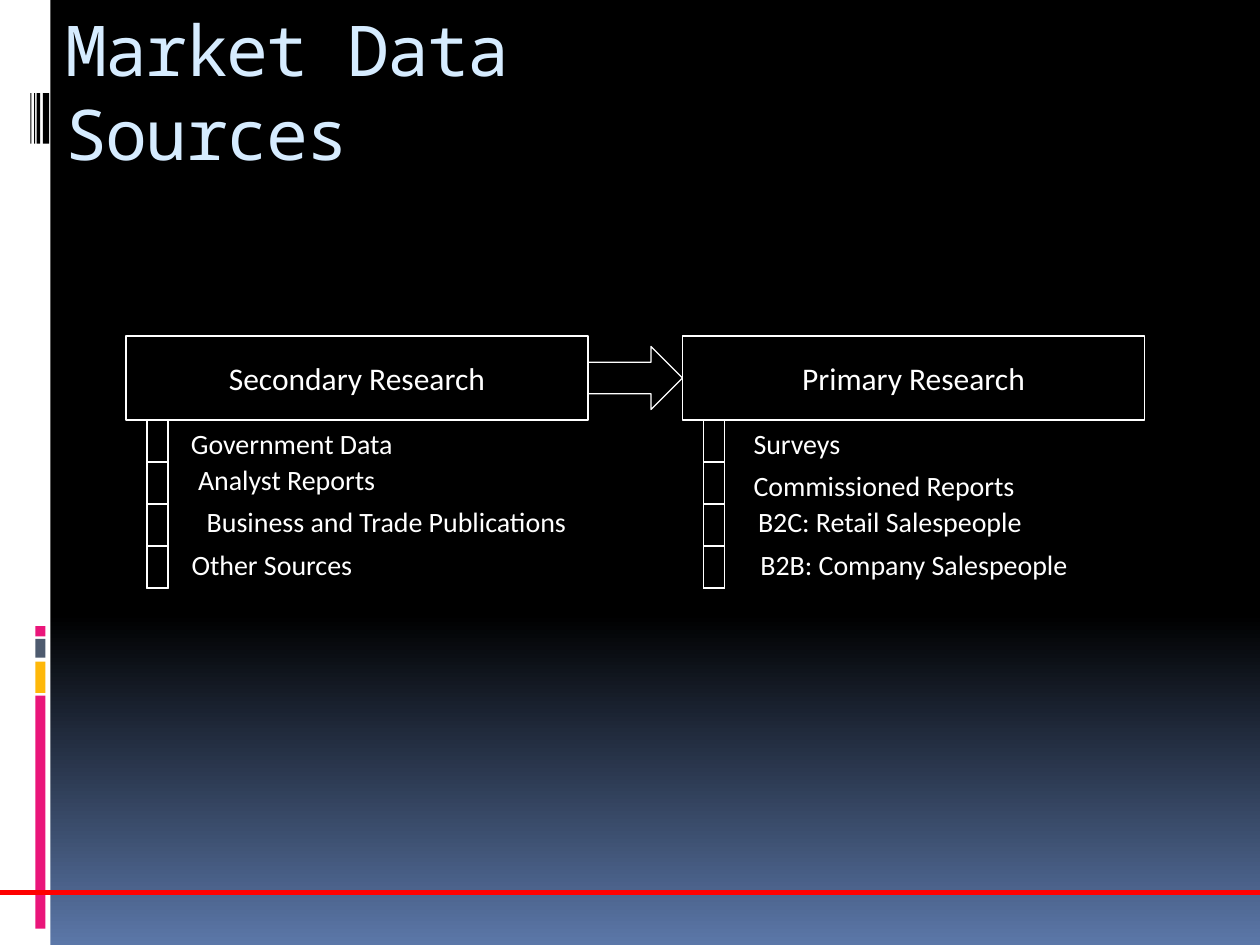
from lxml import etree
from pptx import Presentation, util as u
from pptx.dml.color import RGBColor
from pptx.enum import shapes, text
from pptx.oxml import ns

BLACK = RGBColor(0x00, 0x00, 0x00)
WHITE = RGBColor(0xFF, 0xFF, 0xFF)
DUSK = RGBColor(0x5B, 0x77, 0xA8)
ICE = RGBColor(0xD6, 0xEC, 0xFF)
PINK = RGBColor(0xEA, 0x15, 0x7A)
AMBER = RGBColor(0xFE, 0xB8, 0x0A)
SLATE = RGBColor(0x4E, 0x5B, 0x6F)
RED = RGBColor(0xFF, 0x00, 0x00)

COLUMNS, ROWS = 120, 90
BAR_TOP, BAR_WIDTH, BAR_HEIGHT = 32, 44, 8
SPINE_TOP, SPINE_INDENT, SPINE_WIDTH, CELL = 40, 2, 2, 4
SPINE_SPANS = [(0, 4), (2, 2), (3, 1), (0, 1)]
LABEL_HEIGHT = 4.4

BARCODE = [(4.08, 0.6), (3.48, 0.36), (3.24, 0.12), (2.88, 0.12)]
ACCENTS = [(66.24, 22.2, PINK), (63, 3, AMBER), (60.84, 1.8, SLATE), (59.64, 0.96, PINK)]

BRANCHES = [
    (12, "Secondary Research", 27.7, [
        ("Government Data", 16.6, 40, 22.4),
        ("Analyst Reports", 17.3, 43.5, 20),
        ("Business and Trade Publications", 17.9, 47.5, 37.8),
        ("Other Sources", 16.7, 51.6, 18.4),
    ]),
    (65, "Primary Research", 24.4, [
        ("Surveys", 70.3, 40, 11.2),
        ("Commissioned Reports", 70.1, 44, 28.2),
        ("B2C: Retail Salespeople", 70.4, 47.5, 28.7),
        ("B2B: Company Salespeople", 70.6, 51.6, 32.9),
    ]),
]


def write(frame, words, font="Calibri", size=16, color=WHITE,
          align=text.PP_ALIGN.CENTER, wrap=False, spacing=None,
          fit=text.MSO_AUTO_SIZE.SHAPE_TO_FIT_TEXT):
    frame.word_wrap = wrap
    frame.auto_size = fit
    frame.vertical_anchor = text.MSO_ANCHOR.TOP
    paragraph = frame.paragraphs[0]
    paragraph.alignment = align
    run = paragraph.add_run()
    run.text = words
    run.font.name, run.font.size = font, u.Pt(size)
    run.font.color.rgb = color
    if spacing is not None:
        run.font._element.set("spc", str(spacing * 100))


class Board:
    def __init__(self, deck):
        self.slide = deck.slides.add_slide(deck.slide_layouts[5])
        self.column = deck.slide_width / COLUMNS
        self.row = deck.slide_height / ROWS

    def place(self, left, top, width, height):
        return [round(n * unit) for n, unit in zip(
            (left, top, width, height), (self.column, self.row) * 2)]

    def backdrop(self):
        fill = self.slide.background.fill
        fill.gradient()
        fill.gradient_angle = 270
        for stop, position, color in zip(fill.gradient_stops, (0.65, 1), (BLACK, DUSK)):
            stop.position, stop.color.rgb = position, color

    def title(self, words, *area):
        heading = self.slide.shapes.title
        heading.left, heading.top, heading.width, heading.height = self.place(*area)
        write(heading.text_frame, words, font="Noto Sans Mono", size=40, color=ICE,
              align=text.PP_ALIGN.LEFT, wrap=True, spacing=-1,
              fit=text.MSO_AUTO_SIZE.NONE)

    def block(self, *area, fill=None, kind=shapes.MSO_SHAPE.RECTANGLE):
        block = self.slide.shapes.add_shape(kind, *self.place(*area))
        block.shadow.inherit = False
        if fill is None:
            block.fill.background()
            block.line.color.rgb = WHITE
            block.line.width = u.Pt(0.75)
        else:
            block.fill.solid()
            block.fill.fore_color.rgb = fill
            block.line.fill.background()

    def label(self, words, *area, **style):
        box = self.slide.shapes.add_textbox(*self.place(*area))
        write(box.text_frame, words, **style)

    def rule(self, row):
        left, top, width, _ = self.place(0, row, COLUMNS, 0)
        rule = self.slide.shapes.add_connector(
            shapes.MSO_CONNECTOR.STRAIGHT, left, top, left + width, top)
        rule.line.color.rgb = RED
        rule.line.width = u.Pt(3)
        etree.SubElement(rule._element.spPr, ns.qn("a:effectLst"))

    def branch(self, left, heading, heading_width, sources):
        self.block(left, BAR_TOP, BAR_WIDTH, BAR_HEIGHT)
        self.label(heading, left + (BAR_WIDTH - heading_width) / 2, 33.6,
                   heading_width, 4.8, size=18)
        for source, *corner_and_width in sources:
            self.label(source, *corner_and_width, LABEL_HEIGHT)
        for first, count in SPINE_SPANS:
            self.block(left + SPINE_INDENT, SPINE_TOP + first * CELL,
                       SPINE_WIDTH, count * CELL)


def main():
    deck = Presentation()
    deck.slide_width, deck.slide_height = u.Inches(10), u.Inches(7.5)
    board = Board(deck)
    board.backdrop()
    board.block(0, 0, 4.8, ROWS, fill=WHITE)
    for left, width in BARCODE:
        board.block(left, 8.88, width, 4.8, fill=BLACK)
    for top, height, color in ACCENTS:
        board.block(3.36, top, 0.96, height, fill=color)
    board.title("Market Data Sources", 5.04, 0, 69.6, 9.24)
    for branch in BRANCHES:
        board.branch(*branch)
    board.block(56, 33, 9, 6, kind=shapes.MSO_SHAPE.RIGHT_ARROW)
    board.rule(85)
    deck.save("out.pptx")


if __name__ == "__main__":
    main()
